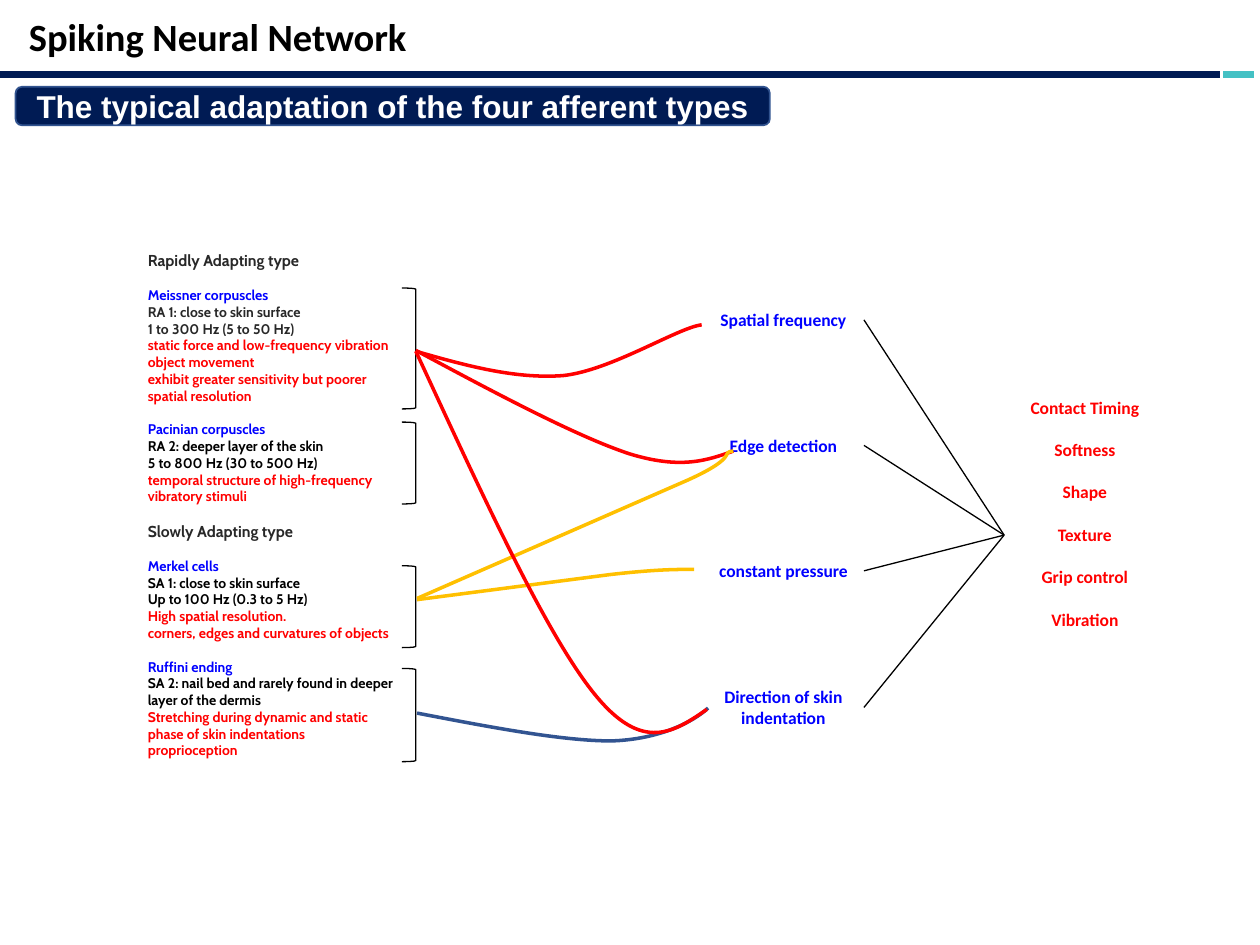
import pptx
import pptx.util
import pptx.dml.color
import pptx.enum.shapes
import pptx.enum.text
import pptx.oxml.ns
import lxml.etree

Pt = pptx.util.Pt
Shape = pptx.enum.shapes.MSO_SHAPE
Align = pptx.enum.text.PP_ALIGN
Fit = pptx.enum.text.MSO_AUTO_SIZE
qn = pptx.oxml.ns.qn

NAVY, TEAL, EDGE = "001B54", "44C1C4", "31538F"
BLACK, GREY, BLUE, RED = "000000", "282828", "0000FF", "FF0000"
GOLD, STEEL = "FFC000", "325491"

TITLE = "Spiking Neural Network"
BANNER = "The typical adaptation of the four afferent types"

# blocks of (text, colour, size, colour of the first line if it differs)
TYPES = [
    [("Rapidly Adapting type", GREY, 9)],
    [("Meissner corpuscles\nRA 1: close to skin surface\n1 to 300 Hz (5 to 50 Hz)",
      GREY, 8, BLUE),
     ("static force and low-frequency vibration\nobject movement\n"
      "exhibit greater sensitivity but poorer spatial resolution", RED, 8)],
    [("Pacinian corpuscles", BLUE, 8),
     ("RA 2: deeper layer of the skin", BLACK, 8),
     ("5 to 800 Hz (30 to 500 Hz)", BLACK, 8),
     ("temporal structure of high-frequency vibratory stimuli", RED, 8)],
    [("Slowly Adapting type", GREY, 9)],
    [("Merkel cells", BLUE, 8),
     ("SA 1: close to skin surface", BLACK, 8),
     ("Up to 100 Hz (0.3 to 5 Hz)", BLACK, 8),
     ("High spatial resolution.\ncorners, edges and curvatures of objects", RED, 8)],
    [("Ruffini ending", BLUE, 8),
     ("SA 2: nail bed and rarely found in deeper layer of the dermis", BLACK, 8),
     ("Stretching during dynamic and static phase of skin indentations", RED, 8),
     ("proprioception", RED, 8)],
]

# text, top, height
CUES = [
    ("constant pressure", 316.5, 19.4),
    ("Edge detection", 244.8, 19.4),
    ("Spatial frequency", 172.8, 20),
    ("Direction of skin indentation", 388.4, 31.7),
]

SENSES = ["Contact Timing", "Softness", "Shape", "Texture", "Grip control",
          "Vibration"]

# top, height
BRACKETS = [(164.6, 69.1), (241.2, 46.8), (323.3, 46.8), (382, 53.3)]

# colour, height, start, then sections: one point for a line, three for a curve
CURVES = [
    (RED, 29.5, (237.6, 200.7),
     [[(265.7, 208.8), (294.5, 216.7), (321.8, 214.6)],
      [(349.2, 211.7), (387.4, 187.2), (401, 185.6)]]),
    (RED, 64.1, (237.6, 200.2),
     [[(283, 224.6), (329, 249.1), (359.3, 259.2)],
      [(389.5, 268.6), (404.6, 262.8), (419, 257.8)]]),
    (STEEL, 18, (238.3, 407.5),
     [[(279.4, 415.4), (321.1, 423.4), (349.2, 423.4)],
      [(376.6, 422.6), (396, 412.6), (404.6, 404.6)]]),
    (GOLD, 17.3, (238.3, 342.7),
     [[(349.2, 328.3)],
      [(375.1, 325.4), (385.9, 325.4), (396.7, 325.4)]]),
    (GOLD, 84.2, (238.3, 342),
     [[(393.1, 274.3)],
      [(423.4, 260.6), (411.1, 258.5), (419, 257.8)]]),
    (RED, 217.4, (237.6, 200.7),
     [[(275, 281.5), (311.8, 362.2), (339.8, 396.7)],
      [(367.2, 430.6), (385.2, 418.3), (403.9, 405.4)]]),
]


def rgb(code):
    return pptx.dml.color.RGBColor.from_string(code)


def write(shape, rows, face, align):
    """Fill a shape with rows of (gap above, text, colour, size, first colour)."""
    frame = shape.text_frame
    frame.word_wrap = True
    for i, (gap, text, color, size, *lead) in enumerate(rows):
        para = frame.add_paragraph() if i else frame.paragraphs[0]
        para.text = text
        para.alignment = align
        para.space_before = Pt(gap)
        font = para.font
        font.name, font.size, font.bold = face, Pt(size), True
        font.color.rgb = rgb(color)
        for tint in lead:
            para.runs[0].font.color.rgb = rgb(tint)


def label(x, y, w, h, rows, face="Calibri", align=Align.CENTER):
    box = shapes.add_textbox(Pt(x), Pt(y), Pt(w), Pt(h))
    write(box, rows, face, align)
    box.text_frame.auto_size = Fit.SHAPE_TO_FIT_TEXT
    return box


def stroke(item, color, width):
    item.line.color.rgb = rgb(color)
    item.line.width = Pt(width)


def rule(x1, y1, x2, y2, color, width):
    line = shapes.add_connector(pptx.enum.shapes.MSO_CONNECTOR.STRAIGHT,
                                Pt(x1), Pt(y1), Pt(x2), Pt(y2))
    stroke(line, color, width)
    lxml.etree.SubElement(line._element.spPr, qn("a:effectLst"))
    return line


def bend(color, height, start, parts):
    """Draw a freeform through the section ends, then curve its sections."""
    form = shapes.build_freeform(Pt(start[0]), Pt(start[1]))
    form.add_line_segments([(Pt(p[-1][0]), Pt(p[-1][1])) for p in parts],
                           close=False)
    curve = form.convert_to_shape()
    curve.shadow.inherit = False
    curve.fill.background()
    stroke(curve, color, 2)
    curve.height = Pt(height)
    track = curve._element.spPr.find(".//" + qn("a:path"))
    track.set("h", str(curve.height))
    for leg, part in zip(track.findall(qn("a:lnTo")), parts):
        if len(part) == 3:
            arc = lxml.etree.Element(qn("a:cubicBezTo"))
            for x, y in part:
                lxml.etree.SubElement(arc, qn("a:pt"), x=str(Pt(x) - curve.left),
                                      y=str(Pt(y) - curve.top))
            track.replace(leg, arc)


deck = pptx.Presentation()
deck.slide_width, deck.slide_height = Pt(720), Pt(540)
shapes = deck.slides.add_slide(deck.slide_layouts[6]).shapes

# header
rule(0, 42.5, 697.4, 42.5, NAVY, 4)
banner = shapes.add_shape(Shape.ROUNDED_RECTANGLE,
                          Pt(8.9), Pt(49.6), Pt(431), Pt(22))
banner.shadow.inherit = False
banner.fill.solid()
banner.fill.fore_color.rgb = rgb(NAVY)
stroke(banner, EDGE, 1)
write(banner, [(0, BANNER, "FFFFFF", 18)], "Arial", Align.CENTER)
banner.text_frame.vertical_anchor = pptx.enum.text.MSO_ANCHOR.MIDDLE
rule(699.1, 42.5, 716.4, 42.5, TEAL, 4)
label(9.5, 3.8, 377.3, 33.8, [(0, TITLE, BLACK, 22)], align=Align.LEFT)

# receptors, cues and senses
rows = [(9.65 if n and not i else 0, *row)
        for n, block in enumerate(TYPES) for i, row in enumerate(block)]
label(77.4, 139.8, 156.2, 310.3, rows, "Cabin", Align.LEFT)

cues = [label(401.5, y, 92.2, h, [(0, text, BLUE, 10)]) for text, y, h in CUES]

for y, h in BRACKETS:
    mark = shapes.add_shape(Shape.RIGHT_BRACKET, Pt(229.7), Pt(y), Pt(7.9), Pt(h))
    mark.shadow.inherit = False
    mark.fill.background()
    stroke(mark, BLACK, 0.75)

for curve in CURVES:
    bend(*curve)

senses = label(573.8, 223.2, 92.2, 165.2,
               [(12.2 if i else 0, text, RED, 10) for i, text in enumerate(SENSES)])

for cue in sorted(cues, key=lambda box: box.top):
    line = rule(0, 0, 1, 1, BLACK, 0.75)
    line.begin_connect(cue, 3)
    line.end_connect(senses, 1)

deck.save("out.pptx")
